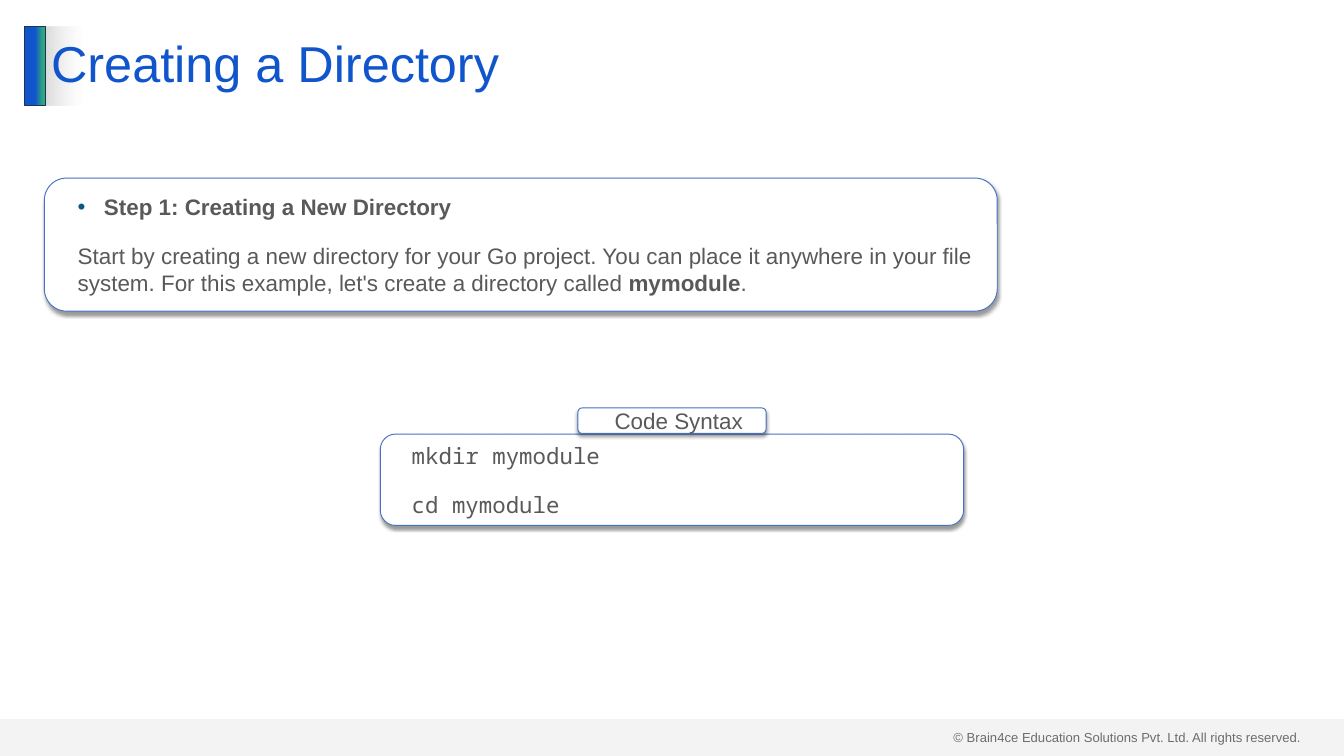
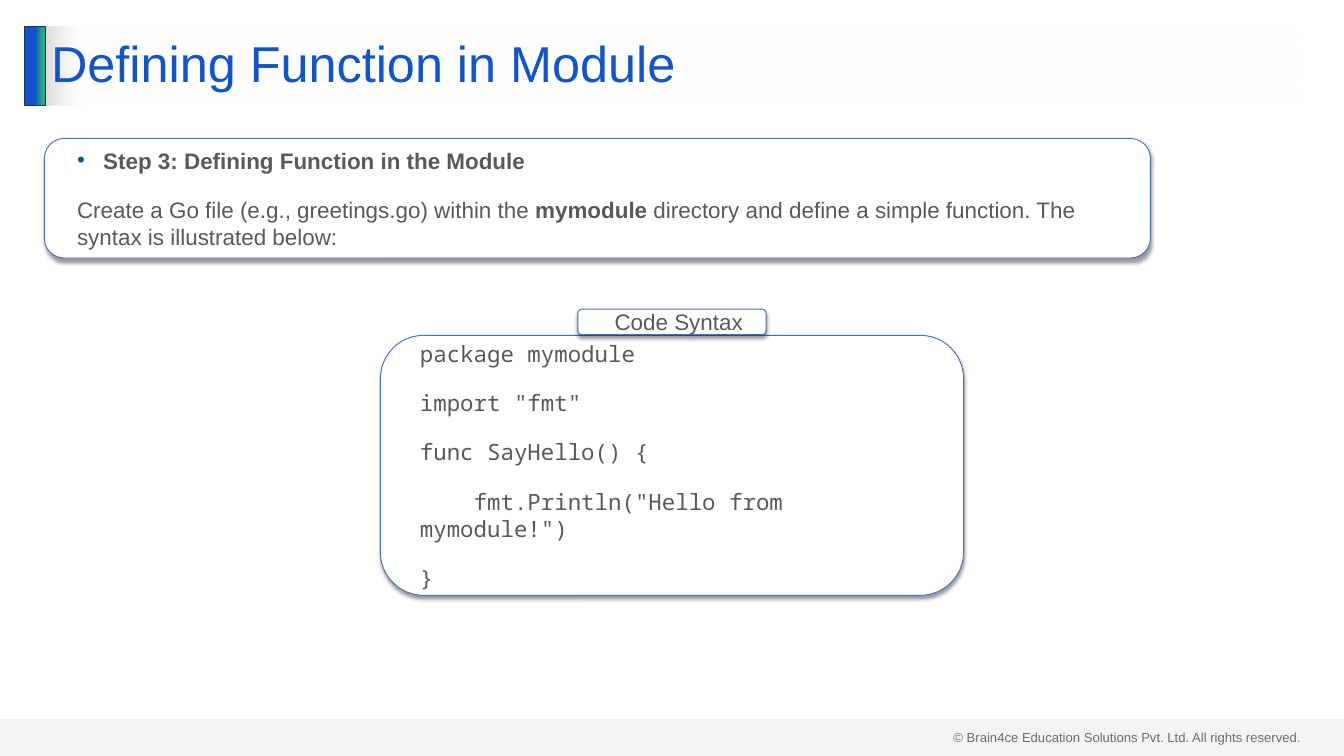
from lxml.etree import SubElement
from pptx import Presentation
from pptx.dml.color import RGBColor
from pptx.enum.shapes import MSO_SHAPE as SHAPE
from pptx.enum.text import MSO_ANCHOR as ANCHOR, MSO_AUTO_SIZE as AUTO_SIZE, PP_ALIGN as ALIGN
from pptx.oxml.ns import qn
from pptx.util import Inches, Pt

BLUE, GREEN, NAVY, EDGE = "1155CC", "2EA87D", "1E3256", "4472C4"
BULLET, TEXT, FOOTER, GREY, WHITE = "095A82", "595959", "404040", "D9D9D9", "FFFFFF"
SANS, MONO = "Arial", "Noto Sans Mono"


def paint(shape, stops, edge=None):
    if len(stops) == 1:
        shape.fill.solid()
        parents = [shape._element.spPr.find(qn("a:solidFill"))]
        parents[0].clear()
    else:
        shape.fill.gradient()
        shape.fill.gradient_angle = 0
        stop_list = shape._element.spPr.find(".//" + qn("a:gsLst"))
        stop_list.clear()
        parents = [SubElement(stop_list, qn("a:gs"), pos=str(pos * 1000)) for pos, _, _ in stops]
    for parent, (_, color, opacity) in zip(parents, stops):
        tint = SubElement(parent, qn("a:srgbClr"), val=color)
        if opacity < 100:
            SubElement(tint, qn("a:alpha"), val=str(opacity * 1000))
    if edge:
        shape.line.color.rgb = RGBColor.from_string(edge)
        shape.line.width = Pt(1)
    else:
        shape.line.fill.background()


def add_panel(slide, place, paragraphs, font, bulleted=False, align=ALIGN.LEFT):
    panel = slide.shapes.add_shape(SHAPE.ROUNDED_RECTANGLE, *map(Inches, place))
    paint(panel, [(0, WHITE, 100)], EDGE)
    panel.shadow.inherit = False
    shadow = SubElement(panel._element.spPr.find(qn("a:effectLst")), qn("a:outerShdw"),
                        blurRad=str(Pt(4)), dist=str(Pt(3)), dir="5400000",
                        algn="t", rotWithShape="0")
    SubElement(SubElement(shadow, qn("a:srgbClr"), val="000000"), qn("a:alpha"), val="40000")
    frame = panel.text_frame
    frame.word_wrap = True
    frame.vertical_anchor = ANCHOR.MIDDLE
    frame.margin_left = frame.margin_right = Inches(0.2)
    frame.margin_top = frame.margin_bottom = Inches(0.1)
    for index, pieces in enumerate(paragraphs):
        paragraph = frame.paragraphs[0] if index == 0 else frame.add_paragraph()
        paragraph.alignment = align
        if index:
            paragraph.space_before = Pt(24)
        has_bullet = bulleted and index == 0
        properties = paragraph._p.get_or_add_pPr()
        properties.set("marL", str(Inches(0.59 if has_bullet else 0.2)))
        properties.set("indent", str(Inches(-0.39 if has_bullet else 0)))
        if has_bullet:
            SubElement(SubElement(properties, qn("a:buClr")), qn("a:srgbClr"), val=BULLET)
            SubElement(properties, qn("a:buFont"), typeface=SANS)
            SubElement(properties, qn("a:buChar"), char="•")
        for text, bold in pieces:
            run = paragraph.add_run()
            run.text = text
            run.font.name = font
            run.font.size = Pt(24)
            run.font.bold = bold
            run.font.color.rgb = RGBColor.from_string(TEXT)


lessons = [
    {
        "title": "Creating a Directory",
        "step_place": (0.66, 2.65, 14.18, 1.98),
        "step": [
            [("Step 1: Creating a New Directory", True)],
            [("Start by creating a new directory for your Go project. You can place it "
              "anywhere in your file system. For this example, let's create a directory called ", False),
             ("mymodule", True), (".", False)],
        ],
        "code_top": 6.46,
        "code_height": 1.36,
        "code": ["mkdir mymodule", "cd mymodule"],
    },
    {
        "title": "Defining Function in Module",
        "step_place": (0.66, 2.06, 16.46, 1.78),
        "step": [
            [("Step 3: Defining Function in the Module", True)],
            [("Create a Go file (e.g., greetings.go) within the ", False), ("mymodule", True),
             (" directory and define a simple function. The syntax is illustrated below:", False)],
        ],
        "code_top": 4.99,
        "code_height": 3.87,
        "code": ["package mymodule", 'import "fmt"', "func SayHello() {",
                 '    fmt.Println("Hello from mymodule!")', "}"],
    },
]

deck = Presentation()
deck.slide_width, deck.slide_height = Inches(20), Inches(11.25)
title_only = deck.slide_layouts[5]

for lesson in lessons:
    slide = deck.slides.add_slide(title_only)

    copyright_line = slide.shapes.add_textbox(Inches(14.09), Inches(10.8), Inches(5.41), Inches(0.34))
    copyright_line.text_frame.word_wrap = True
    notice = copyright_line.text_frame.paragraphs[0]
    notice.text = "© Brain4ce Education Solutions Pvt. Ltd. All rights reserved."
    notice.font.name = SANS
    notice.font.size = Pt(14)
    notice.font.color.rgb = RGBColor.from_string(FOOTER)

    accent = slide.shapes.add_shape(SHAPE.RECTANGLE, Inches(0.37), Inches(0.39), Inches(0.3), Inches(1.18))
    accent.shadow.inherit = False
    paint(accent, [(51, BLUE, 100), (90, GREEN, 100), (100, GREEN, 100)], NAVY)

    footer_band = slide.shapes.add_shape(SHAPE.RECTANGLE, 0, Inches(10.7), Inches(20), Inches(0.55))
    footer_band.shadow.inherit = False
    paint(footer_band, [(0, GREY, 29)])

    heading = slide.shapes.title
    heading.left, heading.top = Inches(0.66), Inches(0.39)
    heading.width, heading.height = Inches(18.67), Inches(1.18)
    paint(heading, [(0, GREY, 100), (3, WHITE, 50)])
    heading.text_frame.text = lesson["title"]
    heading.text_frame.auto_size = AUTO_SIZE.NONE
    heading.text_frame.vertical_anchor = ANCHOR.MIDDLE
    heading_line = heading.text_frame.paragraphs[0]
    heading_line.alignment = ALIGN.LEFT
    heading_line.line_spacing = 0.9
    heading_line.font.name = SANS
    heading_line.font.size = Pt(54)
    heading_line.font.color.rgb = RGBColor.from_string(BLUE)

    add_panel(slide, lesson["step_place"], lesson["step"], SANS, bulleted=True)
    code_top = lesson["code_top"]
    add_panel(slide, (5.66, code_top, 8.68, lesson["code_height"]),
              [[(line, False)] for line in lesson["code"]], MONO)
    add_panel(slide, (8.6, code_top - 0.39, 2.8, 0.38),
              [[("Code Syntax", False)]], SANS, align=ALIGN.CENTER)

deck.save("out.pptx")
